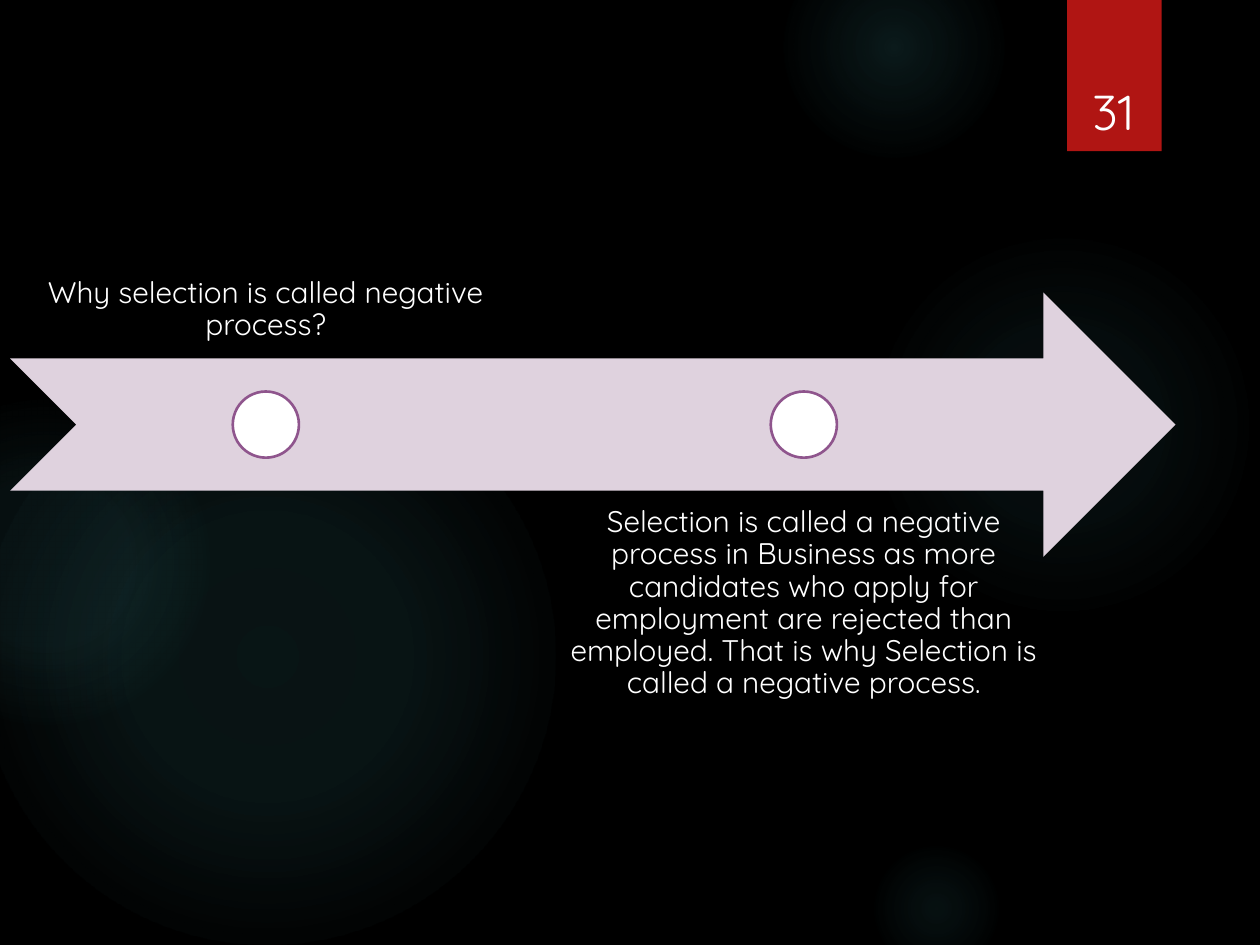
"""Builds the slide on why selection is called a negative process."""
import pptx
import pptx.dml.color
import pptx.enum.shapes
import pptx.enum.text
import pptx.oxml
import pptx.oxml.ns
import pptx.util

Inches = pptx.util.Inches
Pt = pptx.util.Pt
SHAPE = pptx.enum.shapes.MSO_SHAPE
ANCHOR = pptx.enum.text.MSO_ANCHOR

FONT = "Quicksand"
COLORS = {
    "background": "000000",
    "glow": "50B9C1",
    "tab": "B01513",
    "arrow": "DFD2DE",
    "marker": "FFFFFF",
    "marker_line": "8F558D",
    "text": "FFFFFF",
}
GLOWS = [
    (6.89, 1.83, 3.08, ((0, 7), (36, 6), (69, 0))),
    (6.22, -0.5, 1.75, ((0, 14), (36, 7), (73, 0))),
    (6.89, 6.67, 1.08, ((0, 9), (36, 5), (66, 0))),
    (-0.17, 2.92, 4.58, ((0, 11), (36, 10), (75, 0))),
    (-0.92, 3.17, 2.58, ((0, 8), (36, 8), (72, 0))),
]
QUESTION = "Why selection is called negative process?"
ANSWER = (
    "Selection is called a negative process in Business as more candidates "
    "who apply for employment are rejected than employed. That is why "
    "Selection is called a negative process."
)


def color(name):
    """Return the named colour."""
    return pptx.dml.color.RGBColor.from_string(COLORS[name])


def add_filled(shapes, kind, left, top, width, height, fill):
    """Add a flat preset shape without outline."""
    shape = shapes.add_shape(kind, Inches(left), Inches(top), Inches(width), Inches(height))
    shape.shadow.inherit = False
    shape.fill.solid()
    shape.fill.fore_color.rgb = color(fill)
    shape.line.fill.background()
    return shape


def add_text(shapes, left, top, width, height, text, size, anchor, insets, spacing=1.0):
    """Add a centred, wrapped text box."""
    box = shapes.add_textbox(Inches(left), Inches(top), Inches(width), Inches(height))
    frame = box.text_frame
    frame.word_wrap = True
    frame.vertical_anchor = anchor
    frame.margin_left = frame.margin_right = Inches(insets[0])
    frame.margin_top = frame.margin_bottom = Inches(insets[1])
    paragraph = frame.paragraphs[0]
    paragraph.alignment = pptx.enum.text.PP_ALIGN.CENTER
    paragraph.line_spacing = spacing
    run = paragraph.add_run()
    run.text = text
    run.font.name = FONT
    run.font.size = Pt(size)
    run.font.color.rgb = color("text")


def add_glow(shapes, left, top, size, stops):
    """Add a circle whose tint fades out from its centre."""
    shape = add_filled(shapes, SHAPE.OVAL, left, top, size, size, "glow")
    stop_xml = "".join(
        f'<a:gs pos="{position * 1000}"><a:srgbClr val="{COLORS["glow"]}">'
        f'<a:alpha val="{opacity * 1000}"/></a:srgbClr></a:gs>'
        for position, opacity in stops
    )
    gradient = pptx.oxml.parse_xml(
        f'<a:gradFill {pptx.oxml.ns.nsdecls("a")} rotWithShape="1"><a:gsLst>{stop_xml}</a:gsLst>'
        '<a:path path="circle"><a:fillToRect l="50000" t="50000" r="50000" b="50000"/></a:path>'
        "</a:gradFill>"
    )
    properties = shape.element.spPr
    properties.replace(properties.find(pptx.oxml.ns.qn("a:solidFill")), gradient)


def add_page_tab(shapes, left, top, width, height, number):
    """Add the red tab with the page number."""
    add_filled(shapes, SHAPE.RECTANGLE, left, top, width, height, "tab")
    add_text(shapes, left + 0.02, top + 0.32, 0.69, height - 0.36, number, 28,
             ANCHOR.BOTTOM, (0.1, 0.05))


def add_timeline(shapes, left, top, width, height, labels):
    """Add a notched arrow with markers and labels alternately above and below."""
    group = shapes.add_group_shape().shapes
    add_filled(group, SHAPE.NOTCHED_RIGHT_ARROW, left, top, width, height, "arrow")
    label_width, pitch, marker = 4.06, 4.27, height / 4
    for index, label in enumerate(labels):
        label_left = left + index * pitch
        below = index % 2 == 1
        label_top = top + height * (0.75 if below else -0.75)
        add_text(group, label_left, label_top, label_width, height, label, 17,
                 ANCHOR.TOP if below else ANCHOR.BOTTOM, (0.13, 0.13), 0.9)
        dot = add_filled(group, SHAPE.OVAL, label_left + (label_width - marker) / 2,
                         top + (height - marker) / 2, marker, marker, "marker")
        dot.line.color.rgb = color("marker_line")
        dot.line.width = Pt(1.5)


def main():
    """Build and save the presentation."""
    presentation = pptx.Presentation()
    presentation.slide_width = Inches(10)
    presentation.slide_height = Inches(7.5)
    slide = presentation.slides.add_slide(presentation.slide_layouts[6])
    slide.background.fill.solid()
    slide.background.fill.fore_color.rgb = color("background")
    for glow in GLOWS:
        add_glow(slide.shapes, *glow)
    add_page_tab(slide.shapes, 8.47, 0, 0.75, 1.2, "31")
    add_timeline(slide.shapes, 0.08, 2.32, 9.25, 2.1, [QUESTION, ANSWER])
    presentation.save("out.pptx")


if __name__ == "__main__":
    main()
